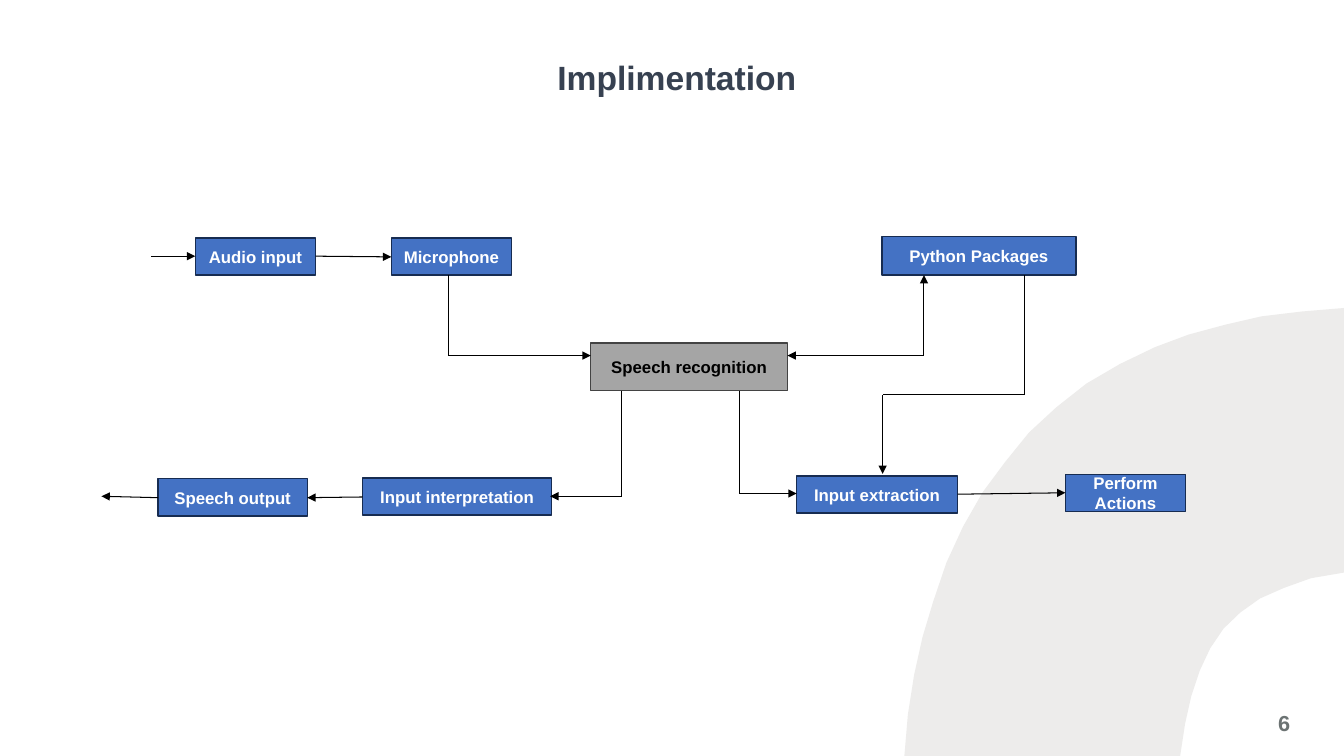
from itertools import pairwise

from lxml.etree import SubElement
from pptx import Presentation
from pptx.dml.color import RGBColor
from pptx.enum.shapes import MSO_CONNECTOR, MSO_SHAPE
from pptx.enum.text import MSO_ANCHOR, PP_ALIGN
from pptx.oxml.ns import qn
from pptx.util import Pt

COLORS = {
    "arch": "EDECEB", "title": "374151", "number": "6C7373",
    "blue": "4472C4", "navy": "172C51", "gray": "A5A5A5",
    "dark": "434343", "white": "FFFFFF", "black": "000000",
}


def rgb(name):
    return RGBColor.from_string(COLORS[name])


def write(sp, text, size, color, align, margins=None):
    tf = sp.text_frame
    tf.word_wrap = True
    for side, value in (margins or {}).items():
        setattr(tf, f"margin_{side}", Pt(value))
    p = tf.paragraphs[0]
    p.alignment = align
    r = p.add_run()
    r.text = text
    for key, value in {"name": "Arial", "size": Pt(size), "bold": True}.items():
        setattr(r.font, key, value)
    r.font.color.rgb = rgb(color)


prs = Presentation()
prs.slide_width, prs.slide_height = Pt(960), Pt(540)
s = prs.slides.add_slide(prs.slide_layouts[6])

arch = [
    (960, 220), (930, 222.5), (901, 226), (875, 232), (849, 239), (825, 248),
    (800, 260), (776, 274), (754.5, 291), (735, 309), (718, 330), (702, 351.5),
    (688, 376), (676, 402), (666.5, 430), (659, 455), (653, 482), (648.5, 510.5),
    (646, 540), (843, 540), (846.5, 517), (851, 497), (857, 479), (864.5, 463),
    (874, 449), (886, 437.5), (900, 427.5), (917, 420), (936.5, 413), (960, 409),
]
points = [(Pt(x), Pt(y)) for x, y in arch]
fb = s.shapes.build_freeform(*points[0])
fb.add_line_segments(points[1:], close=True)
sp = fb.convert_to_shape()
sp.shadow.inherit = False
sp.fill.solid()
sp.fill.fore_color.rgb = rgb("arch")
sp.line.fill.background()

sp = s.shapes.add_textbox(Pt(910), Pt(504), Pt(24.5), Pt(22))
write(sp, "6", 15.5, "number", PP_ALIGN.LEFT,
      {"left": 3, "top": 3, "right": 0, "bottom": 0})

blue = ("blue", "navy", "white")
gray = ("gray", "dark", "black")
boxes = [
    ("Speech recognition", 422, 245, 140.5, 34, gray),
    ("Microphone", 279.5, 170, 86, 26.5, blue),
    ("Audio input", 139.5, 170, 86, 26.5, blue),
    ("Python Packages", 630, 169, 138.5, 27.5, blue),
    ("Input interpretation", 259, 341.5, 135, 26.5, blue),
    ("Speech output", 113, 342, 106.5, 26.5, blue),
    ("Input extraction", 569, 340, 115, 26.5, blue),
    ("Perform Actions", 761, 339, 86, 26.5, blue),
]
for text, x, y, w, h, (fill, line, color) in boxes:
    sp = s.shapes.add_shape(MSO_SHAPE.RECTANGLE, Pt(x), Pt(y), Pt(w), Pt(h))
    sp.shadow.inherit = False
    sp.fill.solid()
    sp.fill.fore_color.rgb = rgb(fill)
    sp.line.color.rgb = rgb(line)
    sp.line.width = Pt(1)
    sp.text_frame.vertical_anchor = MSO_ANCHOR.MIDDLE
    write(sp, text, 12, color, PP_ALIGN.CENTER)

routes = [
    [(108, 183), (139.5, 183)],
    [(225.5, 183), (279.5, 183.5)],
    [(320.5, 196.5), (320.5, 254), (422, 254)],
    [(660, 254), (660, 196.5)],
    [(660, 254), (562.5, 254)],
    [(444, 279), (444, 354.5), (393, 354.5)],
    [(259, 355), (219.5, 355.5)],
    [(113, 355.5), (72.5, 354.5)],
    [(528, 279), (528, 352.5), (569, 352.5)],
    [(684, 353), (761, 352)],
    [(732, 196.5), (732, 282), (630.5, 282), (630.5, 338.5)],
]
for route in routes:
    for (x1, y1), (x2, y2) in pairwise(route):
        sp = s.shapes.add_connector(
            MSO_CONNECTOR.STRAIGHT, Pt(x1), Pt(y1), Pt(x2), Pt(y2))
        sp.line.color.rgb = rgb("black")
        sp.line.width = Pt(0.75)
        SubElement(sp._element.spPr, qn("a:effectLst"))
    SubElement(sp.line._get_or_add_ln(), qn("a:tailEnd"), type="triangle")

sp = s.shapes.add_textbox(Pt(240.5), Pt(37), Pt(486), Pt(36))
write(sp, "Implimentation", 24, "title", PP_ALIGN.CENTER)

prs.save("out.pptx")
